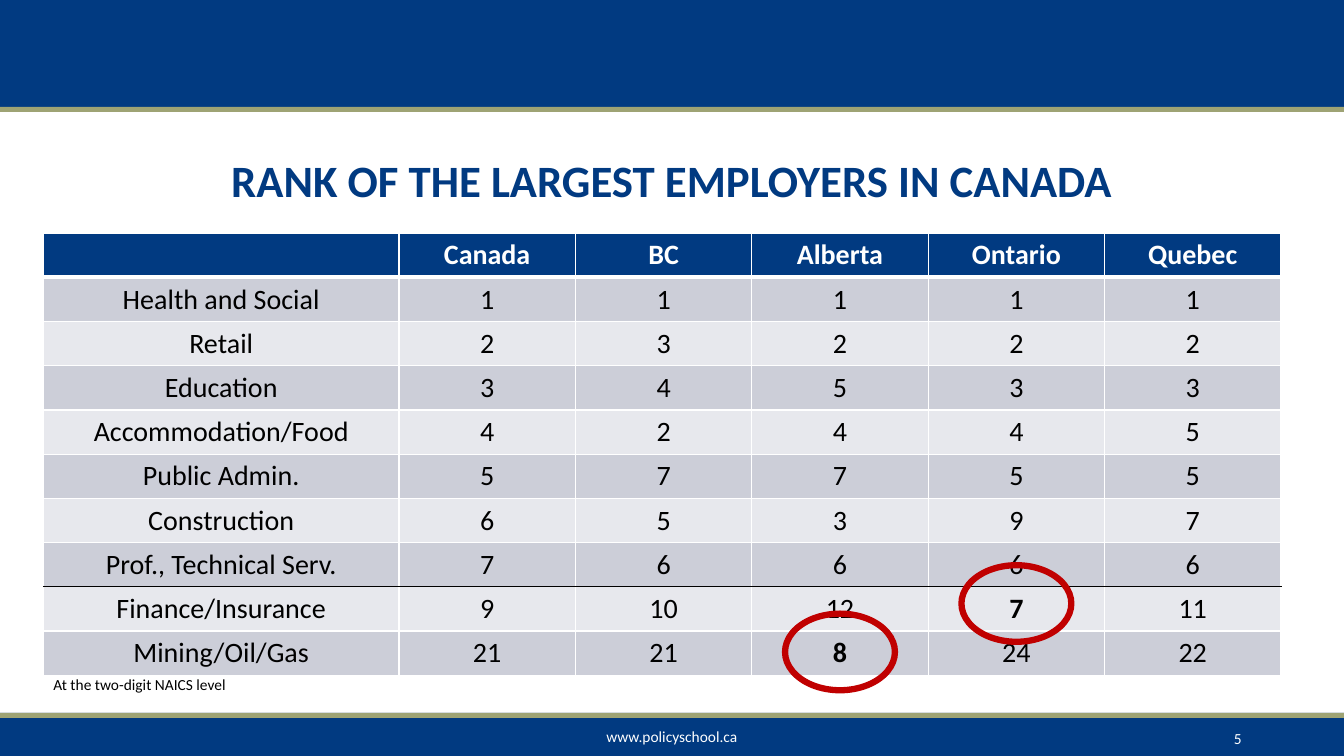
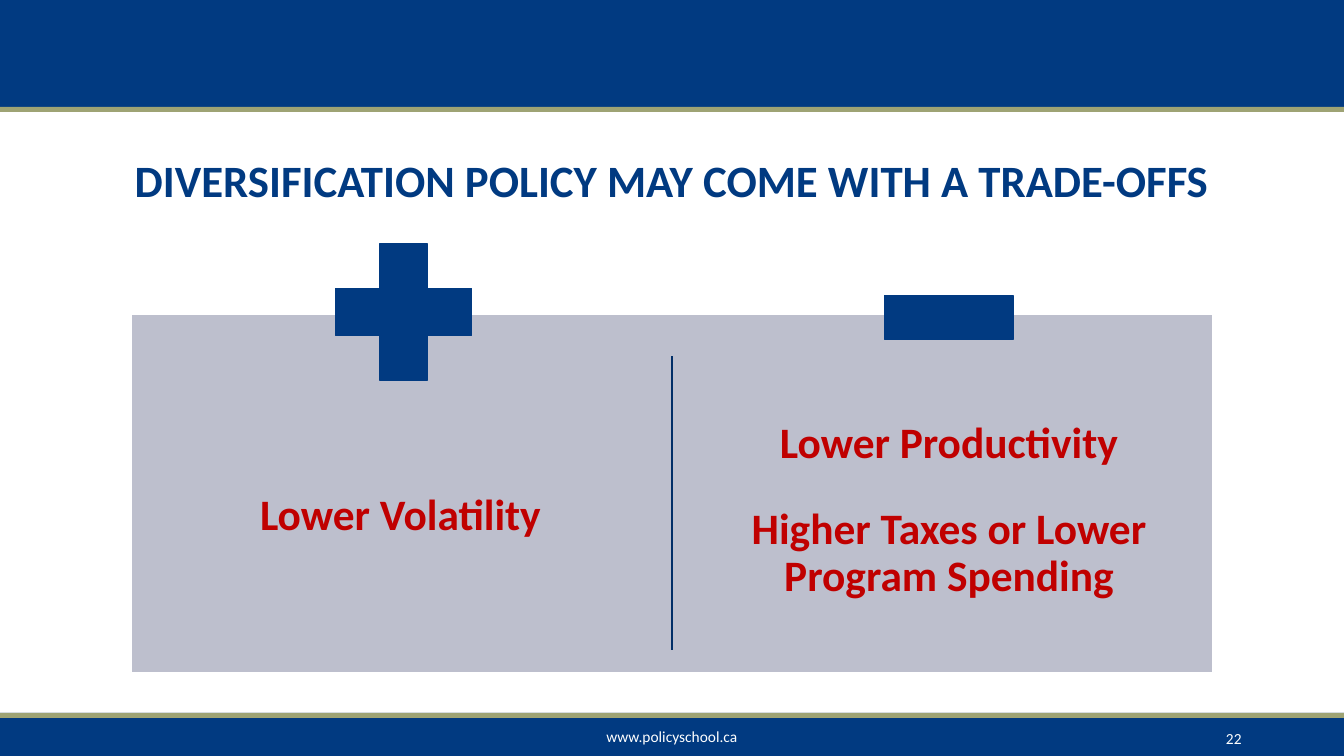
from lxml import etree
from pptx import Presentation
from pptx.dml.color import RGBColor
from pptx.enum.shapes import MSO_CONNECTOR, MSO_SHAPE
from pptx.enum.text import MSO_ANCHOR, PP_ALIGN
from pptx.oxml.ns import qn
from pptx.util import Pt

NAVY = RGBColor(0x01, 0x3A, 0x81)
DEEP_NAVY = RGBColor(0x01, 0x2E, 0x67)
OLIVE = RGBColor(0x9E, 0xA3, 0x74)
RED = RGBColor(0xC0, 0x00, 0x00)
PANEL_GREY = RGBColor(0xBD, 0xBF, 0xCD)
ROW_FILLS = (RGBColor(0xCC, 0xCE, 0xD8), RGBColor(0xE7, 0xE8, 0xED))
WHITE = RGBColor(0xFF, 0xFF, 0xFF)
BLACK = RGBColor(0x00, 0x00, 0x00)
FONT = "Calibri"

SLIDE_W, SLIDE_H = 960, 540
BAND_EDGES = (76.3, 509.2)
STRIPE_H = 3.6

RANKS = [
    ("", "Canada", "BC", "Alberta", "Ontario", "Quebec"),
    ("Health and Social", 1, 1, 1, 1, 1),
    ("Retail", 2, 3, 2, 2, 2),
    ("Education", 3, 4, 5, 3, 3),
    ("Accommodation/Food", 4, 2, 4, 4, 5),
    ("Public Admin.", 5, 7, 7, 5, 5),
    ("Construction", 6, 5, 3, 9, 7),
    ("Prof., Technical Serv.", 7, 6, 6, 6, 6),
    ("Finance/Insurance", 9, 10, 12, 7, 11),
    ("Mining/Oil/Gas", 21, 21, 8, 24, 22),
]
# (row, column) of each ringed rank, and how far its ring is raised
RINGS = {(9, 3): 1, (8, 4): 4}
LAST_TOP_ROW = 7


def write(frame, paragraphs, size, color, bold=False, align=PP_ALIGN.CENTER,
          spacing=None, gap=None):
    for i, text in enumerate(paragraphs):
        paragraph = frame.paragraphs[0] if i == 0 else frame.add_paragraph()
        paragraph.alignment = align
        if spacing:
            paragraph.line_spacing = spacing
        if gap and i:
            paragraph.space_before = Pt(gap)
        run = paragraph.add_run()
        run.text = text
        run.font.name = FONT
        run.font.size = Pt(size)
        run.font.bold = bold
        run.font.color.rgb = color


def add_text(slide, box, paragraphs, size, color, anchor=MSO_ANCHOR.MIDDLE,
             wrap=True, inset=None, **style):
    frame = slide.shapes.add_textbox(*map(Pt, box)).text_frame
    frame.word_wrap = wrap
    frame.vertical_anchor = anchor
    if inset is not None:
        frame.margin_left = frame.margin_right = Pt(inset)
        frame.margin_top = frame.margin_bottom = Pt(inset)
    write(frame, paragraphs, size, color, **style)


def add_block(slide, preset, box, fill=None, line=None, weight=1):
    block = slide.shapes.add_shape(preset, *map(Pt, box))
    block.shadow.inherit = False
    if fill is None:
        block.fill.background()
    else:
        block.fill.solid()
        block.fill.fore_color.rgb = fill
    if line is None:
        block.line.fill.background()
    else:
        block.line.color.rgb = line
        block.line.width = Pt(weight)
    return block


def add_framed_slide(prs, title, title_width, number):
    """Add a slide with the bands, footer, page number and title."""
    slide = prs.slides.add_slide(prs.slide_layouts[6])
    top_edge, bottom_edge = BAND_EDGES
    for top, bottom in ((0, top_edge), (bottom_edge, SLIDE_H)):
        add_block(slide, MSO_SHAPE.RECTANGLE,
                  (0, top, SLIDE_W, bottom - top), NAVY)
    for edge in BAND_EDGES:
        add_block(slide, MSO_SHAPE.RECTANGLE,
                  (0, edge, SLIDE_W, STRIPE_H), OLIVE)
    add_text(slide, (318, 515.5, 324, 21), ["www.policyschool.ca"], 11, WHITE)
    add_text(slide, (678, 519, 216, 16.6), [str(number)], 11, WHITE,
             align=PP_ALIGN.RIGHT)
    add_text(slide, ((SLIDE_W - title_width) / 2, 91.5, title_width, 79),
             [title], 32, NAVY, bold=True, spacing=0.9)
    return slide


def set_borders(cell, top, bottom):
    """Draw white sides, and a (colour, weight) line above and below."""
    side = (WHITE, 1)
    properties = cell._tc.get_or_add_tcPr()
    edges = (("a:lnL", side), ("a:lnR", side), ("a:lnT", top), ("a:lnB", bottom))
    for i, (tag, (color, weight)) in enumerate(edges):
        line = etree.Element(qn(tag), w=str(Pt(weight)))
        fill = etree.SubElement(line, qn("a:solidFill"))
        etree.SubElement(fill, qn("a:srgbClr"), val=str(color))
        properties.insert(i, line)


def add_rank_table(slide, left, top, label_w, rank_w, row_h):
    rank_columns = len(RANKS[0]) - 1
    table = slide.shapes.add_table(
        len(RANKS), rank_columns + 1, Pt(left), Pt(top),
        Pt(label_w + rank_columns * rank_w), Pt(len(RANKS) * row_h)).table
    for c, column in enumerate(table.columns):
        column.width = Pt(rank_w if c else label_w)
    below = {0: (WHITE, 3), LAST_TOP_ROW: (BLACK, 1)}
    for r, ranks in enumerate(RANKS):
        table.rows[r].height = Pt(row_h)
        for c, value in enumerate(ranks):
            cell = table.cell(r, c)
            cell.vertical_anchor = MSO_ANCHOR.MIDDLE
            cell.fill.solid()
            cell.fill.fore_color.rgb = ROW_FILLS[(r - 1) % 2] if r else NAVY
            set_borders(cell, below.get(r - 1, (WHITE, 1)),
                        below.get(r, (WHITE, 1)))
            if value != "":
                write(cell.text_frame, [str(value)], 20, BLACK if r else WHITE,
                      bold=r == 0 or (r, c) in RINGS)
    add_text(slide, (left, top + len(RANKS) * row_h - 4, 139, 21),
             ["At the two-digit NAICS level"], 11, BLACK,
             anchor=MSO_ANCHOR.TOP, wrap=False, align=PP_ALIGN.LEFT)
    ring_w, ring_h = 78.5, 54.7
    for (r, c), lift in RINGS.items():
        center_x = left + label_w + (c - 0.5) * rank_w
        center_y = top + (r + 0.5) * row_h - lift
        add_block(slide, MSO_SHAPE.OVAL,
                  (center_x - ring_w / 2, center_y - ring_h / 2, ring_w, ring_h),
                  line=RED, weight=4.5)


def add_trade_off(slide, left, top, width, height):
    """Draw the panel of gains and costs, with a plus and a minus on its edge."""
    add_block(slide, MSO_SHAPE.RECTANGLE, (left, top, width, height),
              PANEL_GREY, WHITE)
    sides = (
        (29.5, 326, 185, ["Lower Volatility"]),
        (419, 330.5, 177, ["Lower Productivity",
                           "Higher Taxes or Lower Program Spending"]),
    )
    for offset, side_w, side_h, points in sides:
        add_text(slide, (left + offset, top + 52, side_w, side_h), points, 31, RED,
                 inset=4.3, bold=True, spacing=0.9, gap=27.5)
    plus = add_block(slide, MSO_SHAPE.CROSS, (left + 146, top - 50.5, 97.5, 97.5),
                     NAVY, NAVY)
    plus.adjustments[0] = 0.328
    add_block(slide, MSO_SHAPE.RECTANGLE, (left + 538.5, top - 13.5, 91.5, 31.5),
              NAVY, NAVY)
    middle = Pt(left + width / 2)
    divider = slide.shapes.add_connector(
        MSO_CONNECTOR.STRAIGHT, middle, Pt(top + 30), middle, Pt(top + 240))
    divider.line.color.rgb = DEEP_NAVY
    divider.line.width = Pt(1)
    etree.SubElement(divider._element.spPr, qn("a:effectLst"))


def main():
    prs = Presentation()
    prs.slide_width, prs.slide_height = Pt(SLIDE_W), Pt(SLIDE_H)
    ranking = add_framed_slide(
        prs, "RANK OF THE LARGEST EMPLOYERS IN CANADA", 828, 5)
    add_rank_table(ranking, left=31, top=166.5, label_w=254, rank_w=126, row_h=31.6)
    trade_off = add_framed_slide(
        prs, "DIVERSIFICATION POLICY MAY COME WITH A TRADE-OFFS", 867, 22)
    add_trade_off(trade_off, left=93.5, top=224.6, width=773, height=256)
    prs.save("out.pptx")


if __name__ == "__main__":
    main()
